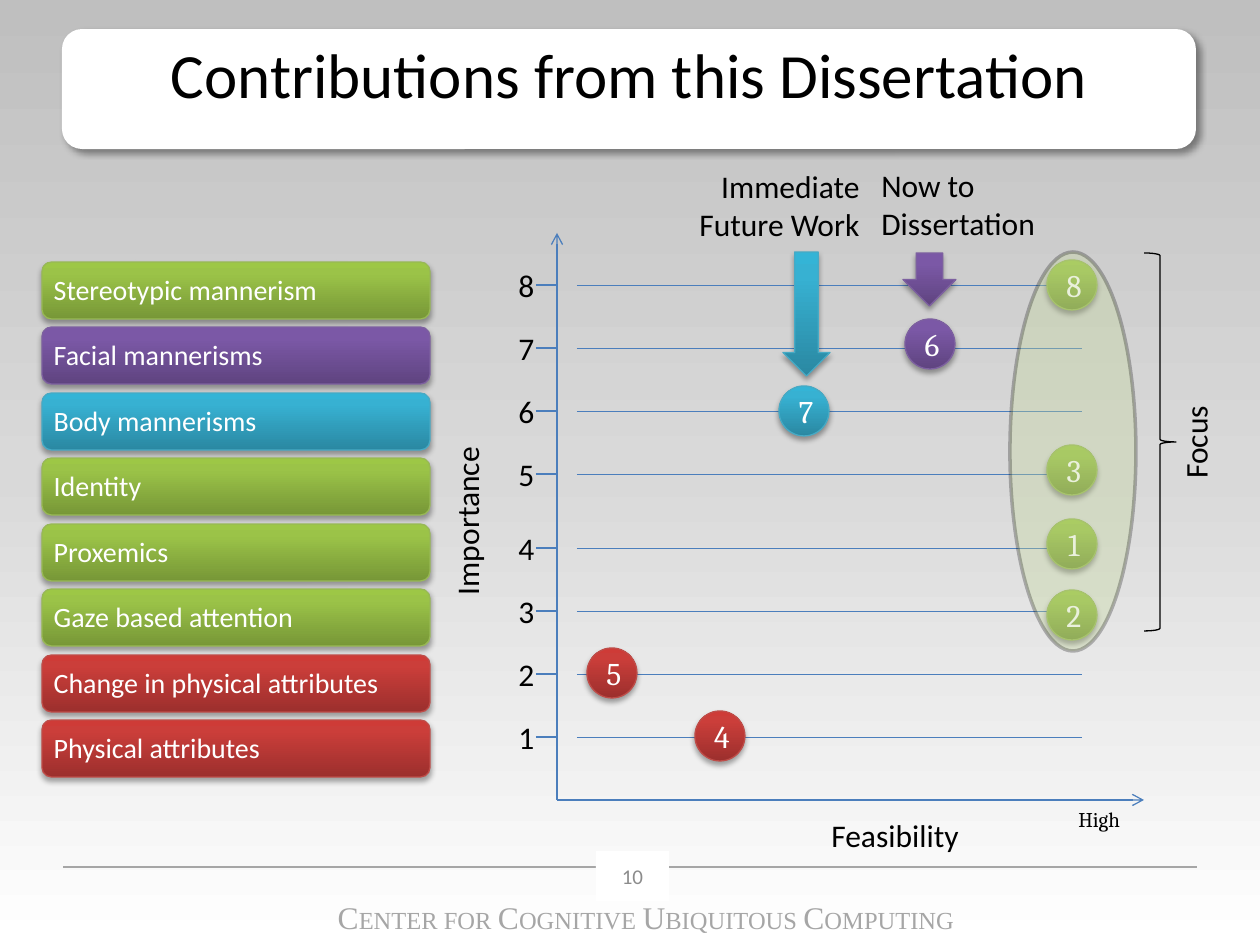
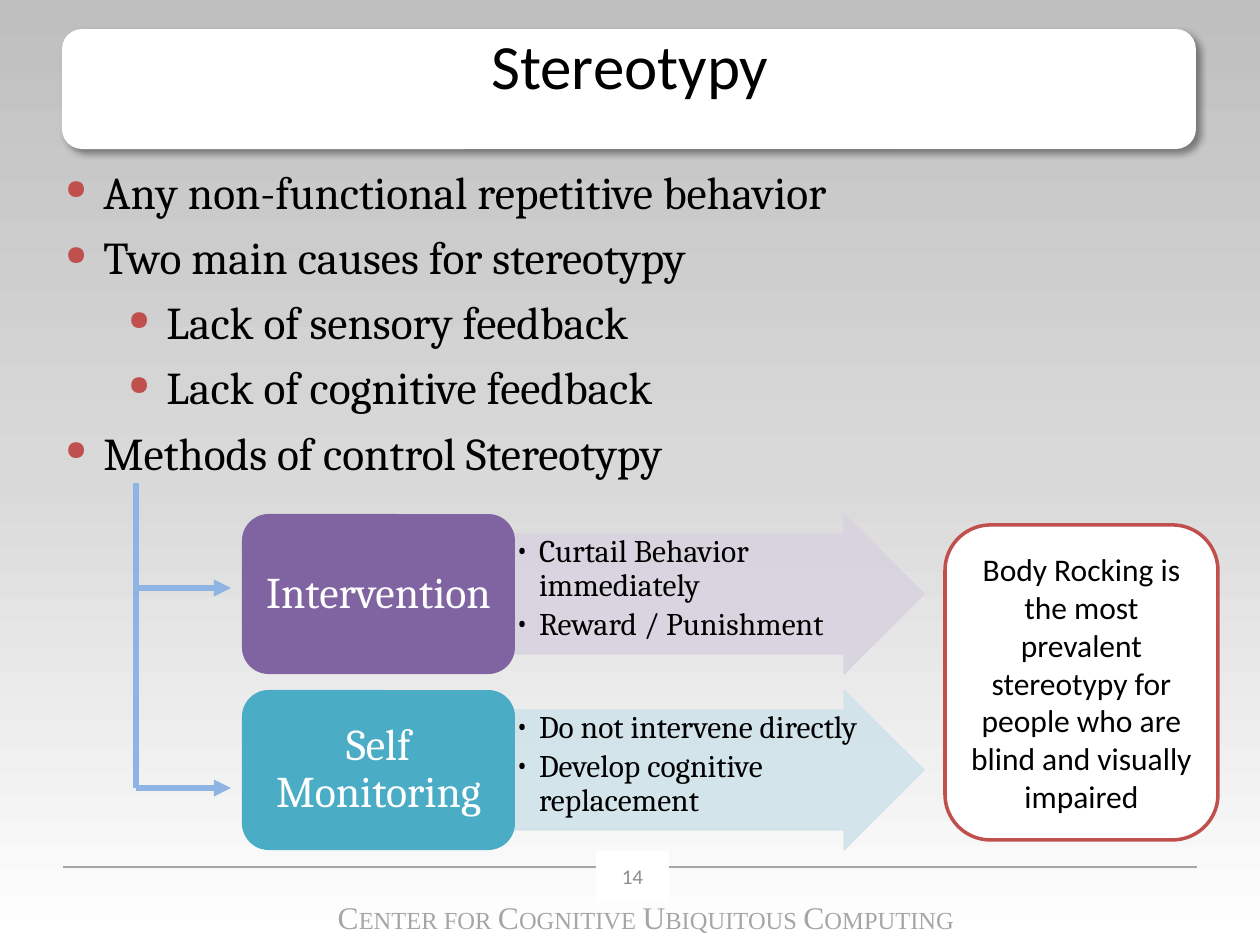
from copy import deepcopy
from typing import NamedTuple

from lxml.etree import SubElement
from pptx import Presentation
from pptx.dml.color import RGBColor
from pptx.enum.dml import MSO_LINE
from pptx.enum.shapes import MSO_CONNECTOR, MSO_SHAPE
from pptx.enum.text import MSO_ANCHOR, PP_ALIGN
from pptx.oxml.ns import qn
from pptx.util import Pt

SCALE = 914400 / 126
SANS, SERIF, ROMAN = "Calibri", "Cambria", "Times New Roman"

BLACK = RGBColor(0x00, 0x00, 0x00)
WHITE = RGBColor(0xFF, 0xFF, 0xFF)
SILVER = RGBColor(0xBF, 0xBF, 0xBF)
PALE = RGBColor(0xD9, 0xD9, 0xD9)
GRAY = RGBColor(0xA6, 0xA6, 0xA6)
NUMBER = RGBColor(0x8C, 0x8C, 0x8C)
AXIS = RGBColor(0x4B, 0x7E, 0xBC)
BRANCH = RGBColor(0x8E, 0xB4, 0xE3)
FOCUS = RGBColor(0xC3, 0xD6, 0x9B)
BRICK = RGBColor(0xC0, 0x50, 0x4D)
VIOLET = RGBColor(0x80, 0x64, 0xA2)
LILAC = RGBColor(0xD8, 0xD3, 0xE0)
AQUA = RGBColor(0x4B, 0xAC, 0xC6)
MIST = RGBColor(0xD0, 0xE3, 0xEA)


class Hue(NamedTuple):
    low: RGBColor
    mid: RGBColor
    high: RGBColor
    edge: RGBColor


def hue(*codes):
    return Hue(*map(RGBColor.from_string, codes))


GREEN = hue("779737", "9BC348", "9DC746", "98B955")
PURPLE = hue("5F4480", "7B58A6", "7C57A8", "7D60A0")
TEAL = hue("2A88A2", "37B1D2", "34B4D6", "46AAC5")
RED = hue("9C2F2D", "CB3E3A", "CE3B37", "BF4C48")

TRAITS = [
    ("Stereotypic mannerism", GREEN), ("Facial mannerisms", PURPLE),
    ("Body mannerisms", TEAL), ("Identity", GREEN), ("Proxemics", GREEN),
    ("Gaze based attention", GREEN), ("Change in physical attributes", RED),
    ("Physical attributes", RED),
]
DOTS = [
    ("8", 1047, 260, GREEN), ("2", 1047, 590, GREEN), ("7", 779, 386, TEAL),
    ("3", 1047, 445, GREEN), ("6", 905, 319, PURPLE), ("4", 695, 711, RED),
    ("1", 1047, 519, GREEN), ("5", 587, 648, RED),
]
POINTS = [
    ("Any non-functional repetitive behavior", 0),
    ("Two main causes for stereotypy", 0),
    ("Lack of sensory feedback", 1),
    ("Lack of cognitive feedback", 1),
    ("Methods of control Stereotypy", 0),
]
METHODS = [
    ("Intervention", VIOLET, LILAC,
     ["Curtail Behavior immediately", "Reward / Punishment"]),
    ("Self Monitoring", AQUA, MIST,
     ["Do not intervene directly", "Develop cognitive replacement"]),
]
CENTER = [("C", "ENTER FOR "), ("C", "OGNITIVE "), ("U", "BIQUITOUS "), ("C", "OMPUTING")]


def px(n):
    return round(n * SCALE)


def place(*box):
    return [px(n) for n in box]


def blend(fill, stops, angle):
    fill.gradient()
    first = fill.gradient_stops[0]._gs
    first.addnext(deepcopy(first))
    for stop, (spot, color) in zip(fill.gradient_stops, stops):
        stop.position = spot
        stop.color.rgb = color
    fill.gradient_angle = angle


def fade(fill, percent):
    """Set the opacity of a solid fill."""
    color = fill._xPr.find(qn("a:solidFill"))[0]
    SubElement(color, qn("a:alpha"), val=str(percent * 1000))


def shade(shape, alpha, blur, dist, angle):
    effects = shape._element.spPr.find(qn("a:effectLst"))
    shadow = SubElement(effects, qn("a:outerShdw"), blurRad=str(Pt(blur)),
                        dist=str(Pt(dist)), dir=str(angle * 60000), rotWithShape="0")
    color = SubElement(shadow, qn("a:srgbClr"), val="000000")
    SubElement(color, qn("a:alpha"), val=str(alpha * 1000))


def style(para, size, color=BLACK, face=SANS, align=PP_ALIGN.LEFT):
    para.alignment = align
    font = para.font
    font.size, font.name, font.color.rgb = Pt(size), face, color


def write(shape, text, *args, **kw):
    para = shape.text_frame.paragraphs[0]
    para.text = text
    style(para, *args, **kw)


def bullet(para, mark, left, hang, color=BLACK, percent=100, face=None):
    props = para._p.get_or_add_pPr()
    props.set("marL", str(px(left)))
    props.set("indent", str(-px(hang)))
    SubElement(SubElement(props, qn("a:buClr")), qn("a:srgbClr"), val=str(color))
    SubElement(props, qn("a:buSzPct"), val=str(percent * 1000))
    if face:
        SubElement(props, qn("a:buFont"), typeface=face)
    SubElement(props, qn("a:buChar"), char=mark)


def lines(frame, texts):
    """Yield one paragraph for each text."""
    for i, text in enumerate(texts):
        para = frame.add_paragraph() if i else frame.paragraphs[0]
        para.text = text
        yield para


def block(slide, kind, box, fill=None, edge=None, width=0.75):
    shape = slide.shapes.add_shape(kind, *place(*box))
    shape.shadow.inherit = False
    if fill is None:
        shape.fill.background()
    else:
        shape.fill.solid()
        shape.fill.fore_color.rgb = fill
    if edge is None:
        shape.line.fill.background()
    else:
        shape.line.color.rgb = edge
        shape.line.width = Pt(width)
    shape.text_frame.word_wrap = True
    shape.text_frame.vertical_anchor = MSO_ANCHOR.MIDDLE
    return shape


def gloss(slide, kind, box, tint):
    """Add a shape with a glossy gradient and a soft shadow."""
    shape = block(slide, kind, box, tint.mid, tint.edge)
    blend(shape.fill, [(0, tint.low), (0.8, tint.mid), (1, tint.high)], 90)
    shade(shape, 35, 3.1, 1.8, 90)
    return shape


def label(slide, text, box, size=18, face=SANS, align=PP_ALIGN.LEFT, wrap=False, turn=0):
    shape = slide.shapes.add_textbox(*place(*box))
    shape.text_frame.word_wrap = wrap
    shape.rotation = turn
    write(shape, text, size, face=face, align=align)


def rule(slide, start, end, color=AXIS, width=0.75, head=None, dash=None):
    line = slide.shapes.add_connector(MSO_CONNECTOR.STRAIGHT, *place(*start, *end))
    line.line.color.rgb = color
    line.line.width = Pt(width)
    if dash:
        line.line.dash_style = dash
    if head:
        SubElement(line.line._ln, qn("a:tailEnd"), type=head)
    SubElement(line._element.spPr, qn("a:effectLst"))


def frame(slide):
    """Draw the shared parts and move them to the slide's layout."""
    layout = slide.slide_layout
    blend(layout.background.fill, [(0, SILVER), (0.5, PALE), (1, WHITE)], 270)
    panel = block(slide, MSO_SHAPE.ROUNDED_RECTANGLE, (62, 29, 1134, 120), WHITE)
    shade(panel, 40, 4, 3, 45)
    footer = slide.shapes.add_textbox(*place(273, 892, 746, 50))
    footer.text_frame.word_wrap = True
    para = footer.text_frame.paragraphs[0]
    style(para, 18, GRAY, ROMAN, PP_ALIGN.CENTER)
    for first, rest in CENTER:
        for text, size in ((first, 18), (rest, 14)):
            run = para.add_run()
            run.text = text
            run.font.size = Pt(size)
    rule(slide, (63, 867), (1197, 867), GRAY)
    parts = [s for s in slide.shapes if not s.is_placeholder]
    for i, part in enumerate(parts, 20):
        next(part._element.iter(qn("p:cNvPr"))).set("id", str(i))
        layout.shapes._spTree.append(part._element)


def head(slide, text, box):
    title = slide.shapes.title
    title.left, title.top, title.width, title.height = place(*box)
    title.text_frame.vertical_anchor = MSO_ANCHOR.TOP
    title.text_frame.margin_top = px(6)
    write(title, text, 36, align=PP_ALIGN.CENTER)


def page(slide, number):
    tab = block(slide, MSO_SHAPE.RECTANGLE, (596, 851, 73, 50), WHITE)
    write(tab, number, 12, NUMBER, align=PP_ALIGN.CENTER)


def traits(slide):
    for i, (text, tint) in enumerate(TRAITS):
        bar = gloss(slide, MSO_SHAPE.ROUNDED_RECTANGLE,
                    (42, 262 + i * 131 // 2, 388, 57), tint)
        bar.text_frame.margin_left = px(9)
        bar.text_frame.margin_bottom = px(9)
        write(bar, text, 16, WHITE)


def axes(slide):
    rule(slide, (557, 800), (1144, 800), head="arrow")
    rule(slide, (557, 800), (557, 233), head="arrow")
    label(slide, "Feasibility", (819, 810, 154, 50))
    label(slide, "Importance", (379, 495, 175, 50), turn=270)
    label(slide, "High", (1066, 800, 68, 38), 12, SERIF)
    for i in range(8):
        y = 737 - 63 * i - (11 if i > 3 else 0)
        rule(slide, (536, y), (557, y))
        rule(slide, (577, y), (1081, y), width=0.25, dash=MSO_LINE.ROUND_DOT)
        label(slide, str(i + 1), (506, y - 25, 42, 50))


def dots(slide):
    for text, x, y, tint in DOTS:
        dot = gloss(slide, MSO_SHAPE.OVAL, (x, y, 50, 50), tint)
        dot.text_frame.word_wrap = False
        dot.text_frame.margin_left, dot.text_frame.margin_right = px(4), 0
        write(dot, text, 18, WHITE, SERIF, PP_ALIGN.CENTER)


def notes(slide):
    """Mark the focus area and the two stages of work."""
    block(slide, MSO_SHAPE.RIGHT_BRACE, (1144, 253, 32, 378), edge=BLACK)
    label(slide, "Focus", (1145, 416, 100, 50), turn=270)
    oval = block(slide, MSO_SHAPE.OVAL, (1010, 252, 126, 399), FOCUS, BLACK, 2)
    fade(oval.fill, 35)
    fade(oval.line.fill, 26)
    gloss(slide, MSO_SHAPE.DOWN_ARROW, (903, 253, 53, 53), PURPLE)
    label(slide, "Now to Dissertation", (869, 160, 189, 89), wrap=True)
    gloss(slide, MSO_SHAPE.DOWN_ARROW, (783, 252, 47, 124), TEAL)
    label(slide, "Immediate Future Work", (683, 161, 189, 89),
          align=PP_ALIGN.RIGHT, wrap=True)


def points(slide):
    body = slide.shapes.add_textbox(*place(53, 158, 1144, 346)).text_frame
    body.word_wrap = True
    paras = lines(body, [text for text, _ in POINTS])
    for i, (para, (_, level)) in enumerate(zip(paras, POINTS)):
        para.level = level
        bullet(para, "●", 38 + 63 * level, 38, BRICK, 60)
        para.space_before = Pt(6 if i else 0)
        style(para, 26, face=SERIF)


def detail(slide, steps, y):
    """List the steps of a method over its arrow."""
    text = slide.shapes.add_textbox(*place(514, y, 349, 120)).text_frame
    text.word_wrap = True
    text.margin_left = text.margin_right = text.margin_top = text.margin_bottom = px(1)
    for para in lines(text, steps):
        bullet(para, "•", 24, 24, face=SERIF)
        para.line_spacing = 0.9
        para.space_after = Pt(3)
        style(para, 18, face=SERIF)


def methods(slide):
    for i, (name, fill, pale, steps) in enumerate(METHODS):
        y = 514 + 176 * i
        arrow = block(slide, MSO_SHAPE.RIGHT_ARROW, (514, y, 410, 160), pale, pale)
        arrow.adjustments[0] = 0.75
        fade(arrow.fill, 90)
        fade(arrow.line.fill, 90)
        detail(slide, steps, y + 20)
        box = block(slide, MSO_SHAPE.ROUNDED_RECTANGLE, (242, y, 273, 160), fill)
        write(box, name, 25, WHITE, SERIF, PP_ALIGN.CENTER)
        box.text_frame.paragraphs[0].line_spacing = 0.9
    rule(slide, (136, 483), (136, 788), BRANCH, 3.25)
    for y in (588, 788):
        rule(slide, (136, y), (231, y), BRANCH, 3.25, "triangle")


def main():
    deck = Presentation()
    deck.slide_width, deck.slide_height = place(1260, 945)
    layout = deck.slide_layouts[5]

    slide = deck.slides.add_slide(layout)
    frame(slide)
    head(slide, "Contributions from this Dissertation", (62, 29, 1134, 120))
    page(slide, "10")
    axes(slide)
    dots(slide)
    traits(slide)
    notes(slide)

    slide = deck.slides.add_slide(layout)
    head(slide, "Stereotypy", (63, 21, 1134, 126))
    points(slide)
    methods(slide)
    page(slide, "14")
    fact = block(slide, MSO_SHAPE.ROUNDED_RECTANGLE, (945, 525, 273, 315), WHITE, BRICK, 2)
    write(fact, "Body Rocking is the most prevalent stereotypy for people "
          "who are blind and visually impaired", 18, align=PP_ALIGN.CENTER)
    deck.save("out.pptx")


if __name__ == "__main__":
    main()
